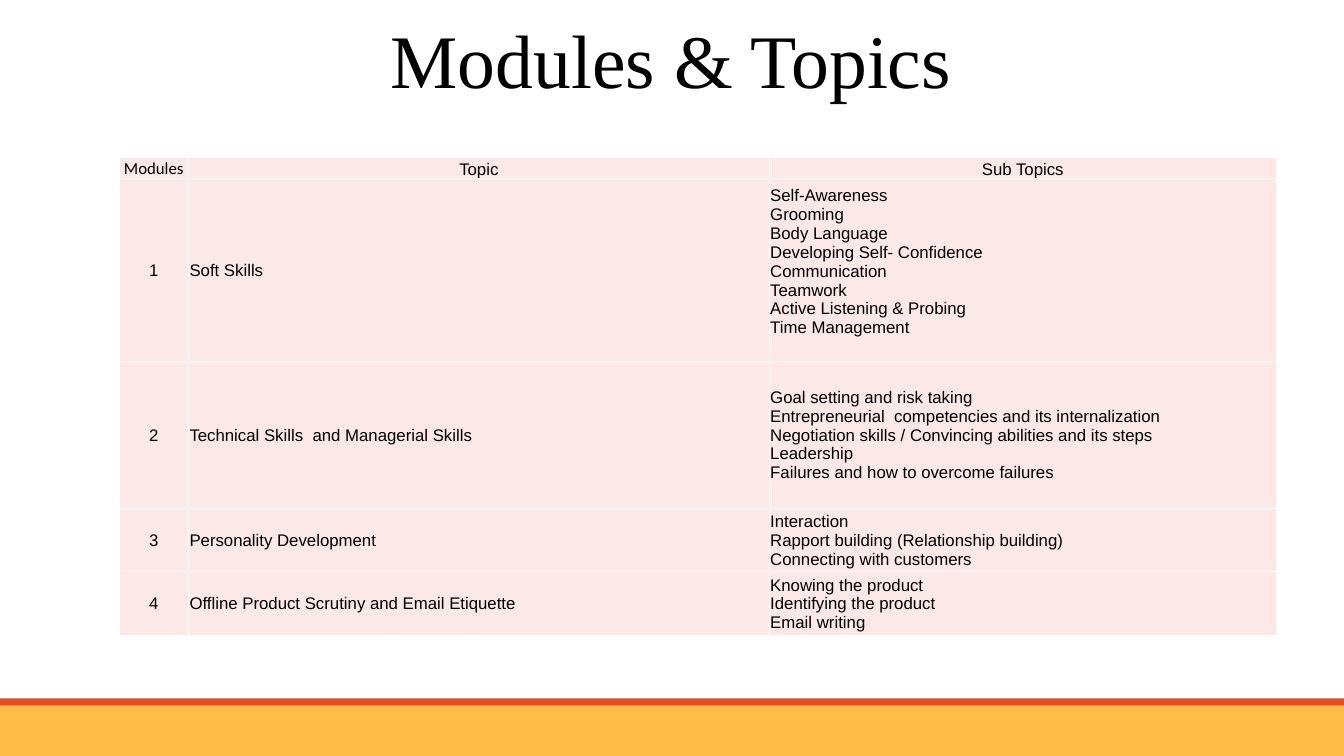
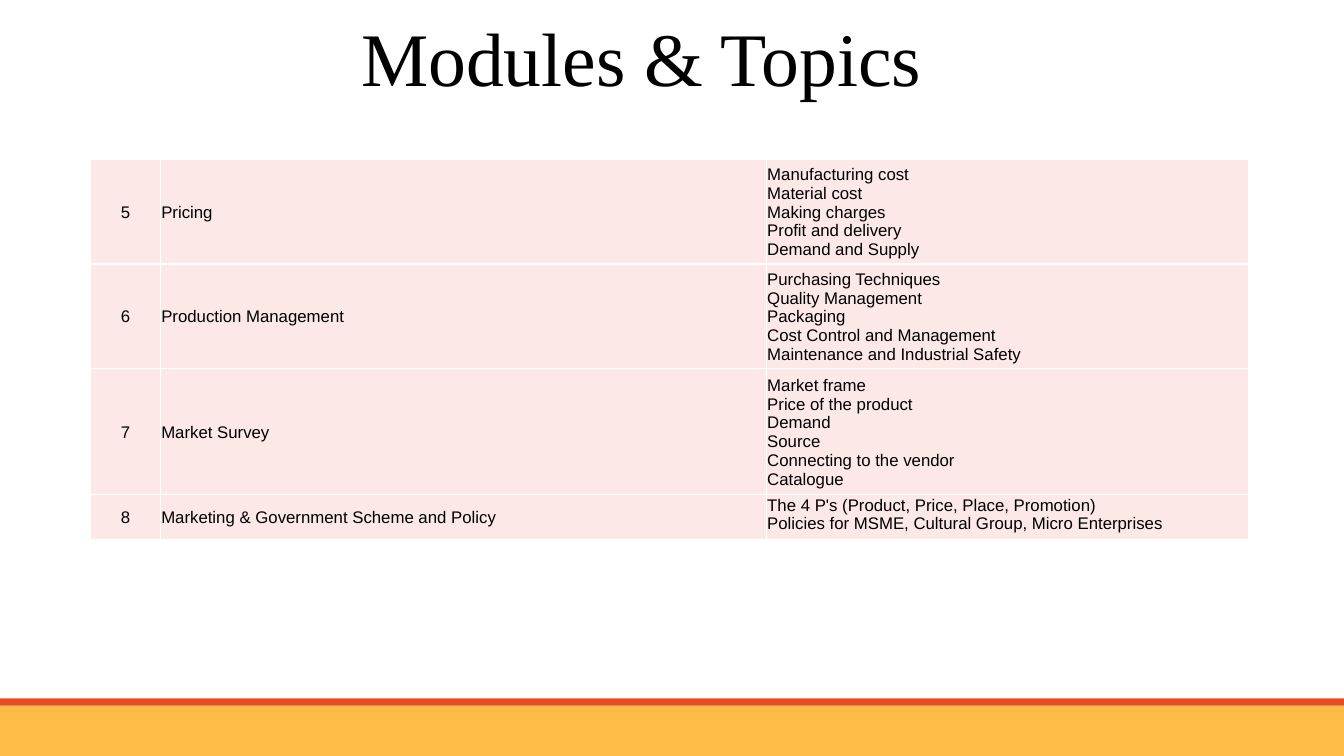
from lxml import etree
from pptx import Presentation
from pptx.dml.color import RGBColor
from pptx.enum.shapes import MSO_SHAPE as Shape
from pptx.enum.text import MSO_ANCHOR as Anchor, PP_ALIGN as Align
from pptx.oxml.ns import qn
from pptx.util import Inches, Pt

# Shared look
BLACK, WHITE, PINK = "000000", "FFFFFF", "FBE8E7"
BANDS = [(7, 0.5, "FFBD47"), (6.93, 0.07, "E84C22")]  # top, height, colour
WIDTH, HEIGHT = 13.33, 7.5
TITLE = "Modules & Topics"

# Content: rows are (height, number, topic, subtopics)
SLIDES = [
    {
        "title_box": (0.65, 0.07, 12.01, 1.01),
        "table_at": (1.18, 1.56),
        "columns": (0.69, 5.76, 5.03),
        "header": (0.21, "Modules", "Topic", ["Sub Topics"]),
        "rows": [
            (1.81, "1", "Soft Skills", [
                "Self-Awareness", "Grooming", "Body Language",
                "Developing Self- Confidence", "Communication", "Teamwork",
                "Active Listening & Probing", "Time Management"]),
            (1.46, "2", "Technical Skills  and Managerial Skills", [
                "Goal setting and risk taking",
                "Entrepreneurial  competencies and its internalization",
                "Negotiation skills / Convincing abilities and its steps",
                "Leadership", "Failures and how to overcome failures"]),
            (0.63, "3", "Personality Development", [
                "Interaction", "Rapport building (Relationship building)",
                "Connecting with customers"]),
            (0.63, "4", "Offline Product Scrutiny and Email Etiquette", [
                "Knowing the product", "Identifying the product",
                "Email writing"]),
        ],
    },
    {
        "title_box": (0, 0, 12.72, 1.11),
        "table_at": (0.9, 1.58),
        "columns": (0.69, 6.01, 4.78),
        "header": None,
        "rows": [
            (1.04, "5", "Pricing", [
                "Manufacturing cost", "Material cost", "Making charges",
                "Profit and delivery", "Demand and Supply"]),
            (1.04, "6", "Production Management", [
                "Purchasing Techniques", "Quality Management", "Packaging",
                "Cost Control and Management",
                "Maintenance and Industrial Safety"]),
            (1.25, "7", "Market Survey", [
                "Market frame", "Price of the product", "Demand", "Source",
                "Connecting to the vendor", "Catalogue"]),
            (0.44, "8", "Marketing & Government Scheme and Policy", [
                "The 4 P's (Product, Price, Place, Promotion)",
                "Policies for MSME, Cultural Group, Micro Enterprises"]),
        ],
    },
]
# Subtopic cells that do not sit in the middle of their row
RAISED = {"1": {"bottom": 0.17}, "8": {"anchor": Anchor.TOP}}


def rgb(color):
    return RGBColor.from_string(color)


def write(tf, lines, size=12, font="Arial", color=BLACK, align=Align.LEFT):
    for i, line in enumerate(lines):
        p = tf.paragraphs[0] if i == 0 else tf.add_paragraph()
        p.alignment = align
        r = p.add_run()
        r.text = line
        r.font.size, r.font.name = Pt(size), font
        r.font.color.rgb = rgb(color)


def add_bands(prs, slide):
    """Draw the footer bands and move them to the master, behind all else."""
    tree = prs.slide_master.shapes.element
    for i, (top, height, color) in enumerate(BANDS):
        sp = slide.shapes.add_shape(Shape.RECTANGLE, 0, Inches(top),
                                    Inches(WIDTH), Inches(height))
        sp.shadow.inherit = False
        sp.fill.solid()
        sp.fill.fore_color.rgb = rgb(color)
        sp.line.fill.background()
        sp.element.xpath(".//p:cNvPr")[0].set("id", str(100 + i))
        tree.insert(2 + i, sp.element)


def add_title(slide, box):
    title = slide.shapes.title
    title.left, title.top, title.width, title.height = map(Inches, box)
    tf = title.text_frame
    tf.vertical_anchor = Anchor.MIDDLE
    write(tf, [TITLE], size=54, font="Times New Roman", align=Align.CENTER)


def style_cell(cell, anchor=Anchor.MIDDLE, bottom=0):
    cell.vertical_anchor = anchor
    cell.margin_left = cell.margin_right = cell.margin_top = Inches(0.01)
    cell.margin_bottom = Inches(bottom)
    tcPr = cell.fill and cell.text_frame and cell.vertical_anchor is not None
    tcPr = cell.text_frame.paragraphs and cell.fill and tcPr
    props = cell.text_frame and cell.text_frame.paragraphs[0]
    props = props and cell
    return props


def add_borders(tbl):
    for tcPr in tbl.iter(qn("a:tcPr")):
        for side in ("lnL", "lnR", "lnT", "lnB"):
            ln = etree.SubElement(tcPr, qn("a:" + side), w=str(Pt(1)))
            fill = etree.SubElement(ln, qn("a:solidFill"))
            etree.SubElement(fill, qn("a:srgbClr"), val=WHITE)


def add_module_table(slide, data):
    header = data["header"]
    rows = ([header] if header else []) + data["rows"]
    columns = data["columns"]
    left, top = data["table_at"]
    frame = slide.shapes.add_table(
        len(rows), len(columns), Inches(left), Inches(top),
        Inches(sum(columns)), Inches(sum(row[0] for row in rows)))
    table = frame.table
    table.first_row = table.horz_banding = False
    for column, width in zip(table.columns, columns):
        column.width = Inches(width)

    # Text and position
    for i, (height, number, topic, subtopics) in enumerate(rows):
        table.rows[i].height = Inches(height)
        is_header = rows[i] is header
        for j, lines in enumerate(([number], [topic], subtopics)):
            cell = table.cell(i, j)
            options = RAISED.get(number, {}) if j == 2 else {}
            if is_header and j > 0:
                options = {"anchor": Anchor.BOTTOM}
            style_cell(cell, **options)
            write(cell.text_frame, lines,
                  font="Calibri" if is_header and j == 0 else "Arial",
                  align=Align.CENTER if is_header or j == 0 else Align.LEFT)

    # Borders come before fills in the cell properties
    add_borders(frame.element)
    for cell in table.iter_cells():
        cell.fill.solid()
        cell.fill.fore_color.rgb = rgb(PINK)


def main():
    prs = Presentation()
    prs.slide_width, prs.slide_height = Inches(WIDTH), Inches(HEIGHT)
    for i, data in enumerate(SLIDES):
        slide = prs.slides.add_slide(prs.slide_layouts[5])
        if i == 0:
            add_bands(prs, slide)
        add_title(slide, data["title_box"])
        add_module_table(slide, data)
    prs.save("out.pptx")


if __name__ == "__main__":
    main()
